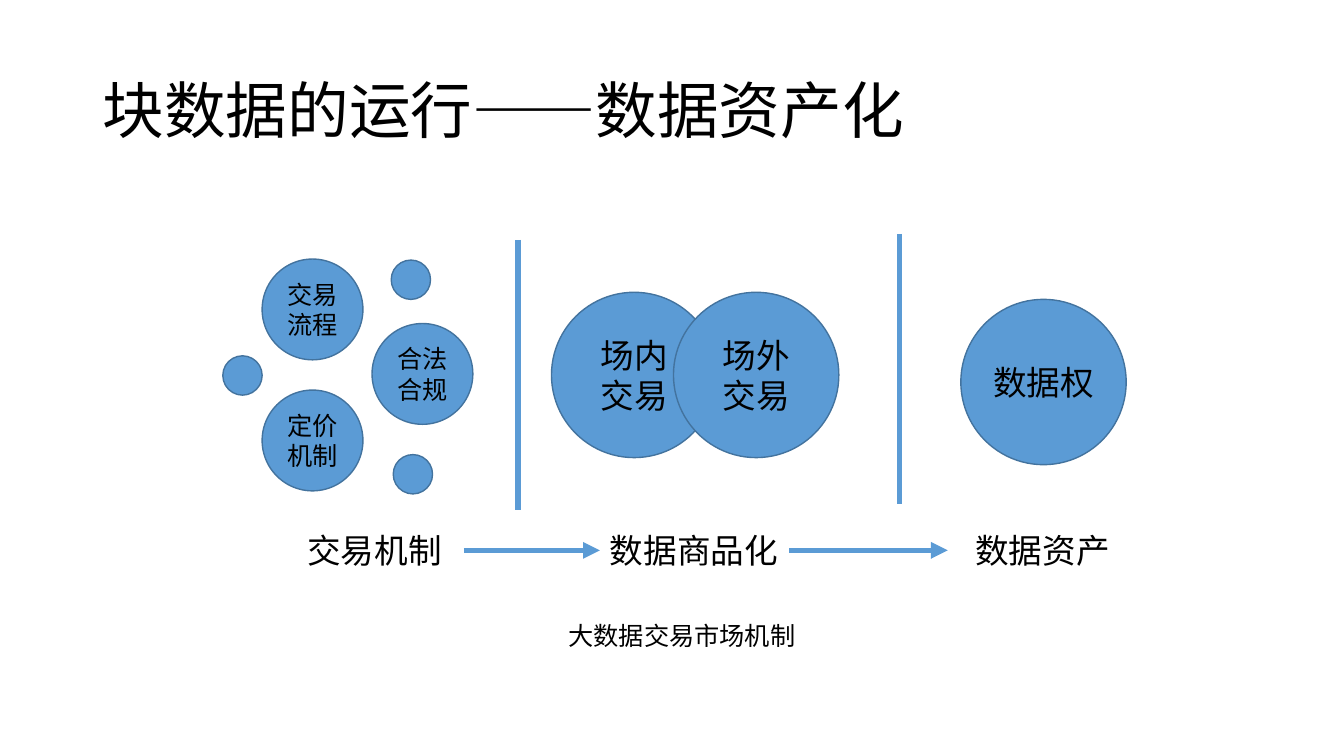
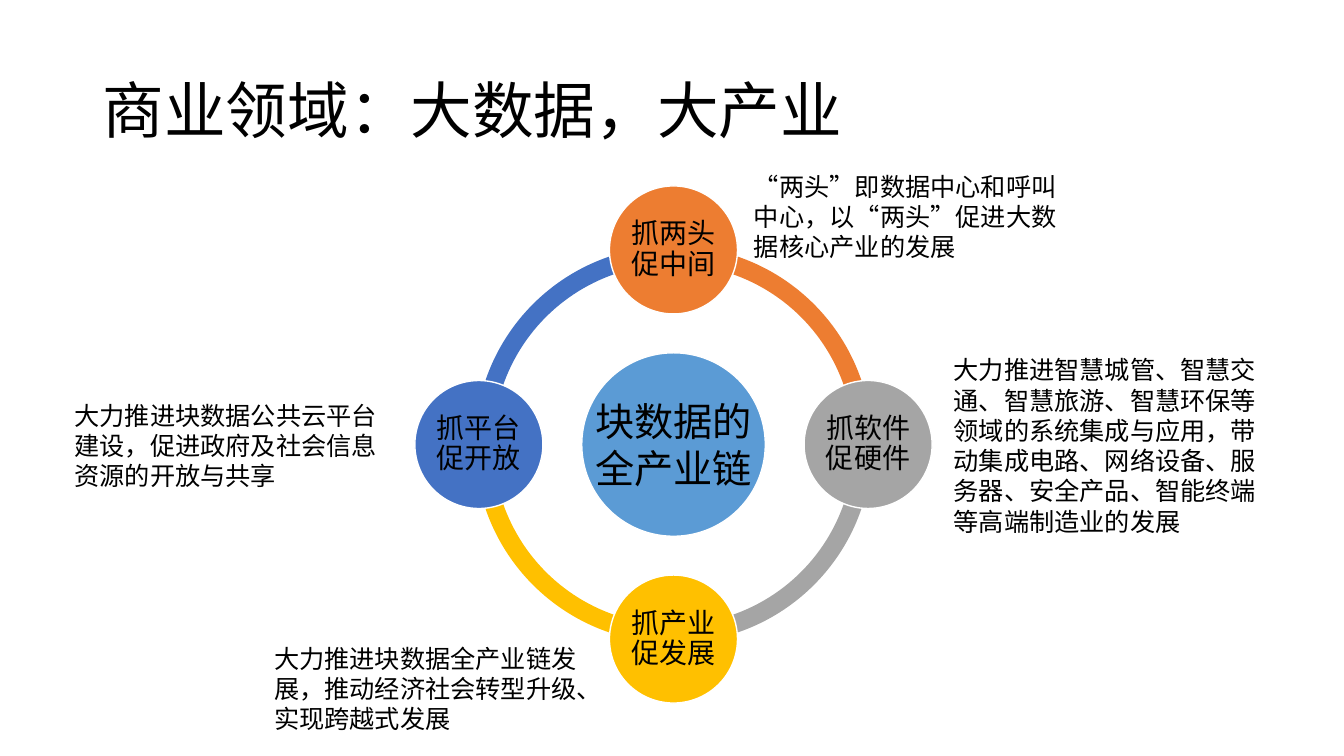
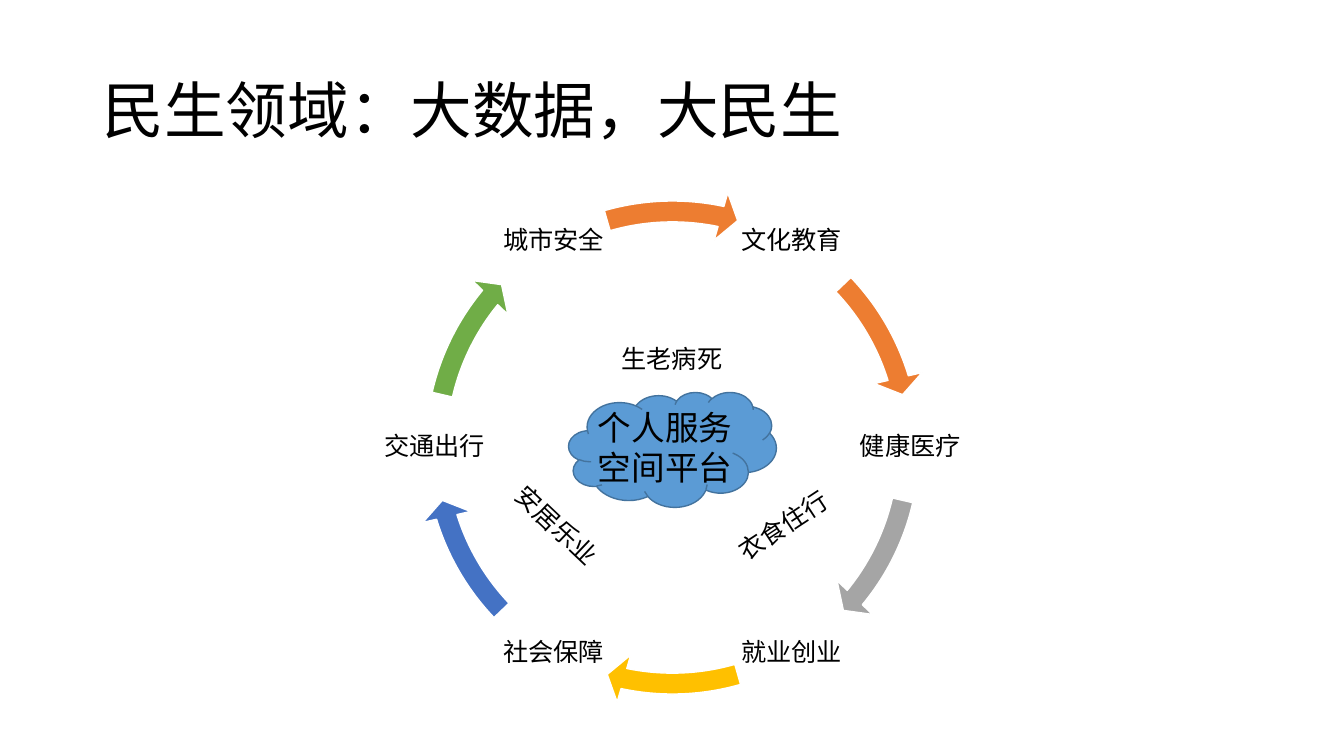
from dataclasses import dataclass
from math import cos, radians, sin
from typing import NamedTuple

from lxml.etree import SubElement
from pptx import Presentation
from pptx.dml.color import RGBColor
from pptx.enum.lang import MSO_LANGUAGE_ID as Language
from pptx.enum.shapes import MSO_CONNECTOR as Connector, MSO_SHAPE as Preset
from pptx.enum.text import MSO_ANCHOR as Anchor, PP_ALIGN as Align
from pptx.oxml.ns import qn
from pptx.util import Inches, Pt


@dataclass(frozen=True)
class Theme:
    font: str = "Calibri"
    text: str = "000000"
    white: str = "FFFFFF"
    accent: str = "5B9BD5"
    outline: str = "43739E"
    orange: str = "ED7D31"
    gray: str = "A5A5A5"
    yellow: str = "FFC000"
    blue: str = "4472C4"
    green: str = "70AD47"
    title: int = 44
    hub: int = 28
    large: int = 24
    medium: int = 20
    body: int = 18
    rule: int = 4


THEME = Theme()


class Frame(NamedTuple):
    left: float
    top: float
    width: float
    height: float


class Words(NamedTuple):
    text: str
    size: int = THEME.body
    align: Align = Align.LEFT
    anchor: Anchor = Anchor.TOP
    inset: tuple[float, float] = (0.1, 0.05)
    spacing: float = 1.0


class Bubble(NamedTuple):
    left: float
    top: float
    diameter: float
    text: str = ""
    size: int = THEME.body
    side_inset: float = 0.1


class Note(NamedTuple):
    left: float
    top: float
    text: str
    height: float = 1.01


class InnerLabel(NamedTuple):
    left: float
    top: float
    text: str
    rotation: float = 0


def centred(x: float, y: float, width: float, height: float) -> Frame:
    return Frame(x - width / 2, y - height / 2, width, height)


def on_circle(centre: tuple[float, float], radius: float, degrees: float) -> tuple[float, float]:
    """Point at an angle counted clockwise from the right."""
    angle = radians(degrees)
    return centre[0] + radius * cos(angle), centre[1] + radius * sin(angle)


def angle_adjustment(degrees: float) -> float:
    """Angle as python-pptx scales it: 60000ths of a degree over 100000."""
    return degrees % 360 * 0.6


def write(box, words: Words) -> None:
    text_frame = box.text_frame
    side, end = (Inches(inset) for inset in words.inset)
    frame_format = {
        "word_wrap": True, "vertical_anchor": words.anchor,
        "margin_left": side, "margin_right": side,
        "margin_top": end, "margin_bottom": end,
    }
    for name, value in frame_format.items():
        setattr(text_frame, name, value)
    para = text_frame.paragraphs[0]
    para.alignment = words.align
    para.line_spacing = words.spacing
    span = para.add_run()
    span.text = words.text
    font_format = {
        "name": THEME.font, "size": Pt(words.size),
        "language_id": Language.SIMPLIFIED_CHINESE,
    }
    for name, value in font_format.items():
        setattr(span.font, name, value)
    span.font.color.rgb = RGBColor.from_string(THEME.text)


def add_text(page, frame: Frame, words: Words, rotation: float = 0):
    box = page.shapes.add_textbox(*map(Inches, frame))
    box.rotation = rotation
    write(box, words)
    return box


def add_preset(page, preset: Preset, frame: Frame, fill: str, line: str | None = None,
               adjustments: tuple[float, ...] = (), words: Words | None = None) -> None:
    shape = page.shapes.add_shape(preset, *map(Inches, frame))
    shape.shadow.inherit = False
    shape.fill.solid()
    shape.fill.fore_color.rgb = RGBColor.from_string(fill)
    if line:
        shape.line.color.rgb = RGBColor.from_string(line)
        shape.line.width = Pt(1)
    else:
        shape.line.fill.background()
    for index, value in enumerate(adjustments):
        shape.adjustments[index] = value
    if words:
        write(shape, words)


def add_rule(page, start: tuple[float, float] = (0, 0), end: tuple[float, float] = (0, 0)):
    rule = page.shapes.add_connector(Connector.STRAIGHT, *map(Inches, (*start, *end)))
    rule.line.color.rgb = RGBColor.from_string(THEME.accent)
    rule.line.width = Pt(THEME.rule)
    SubElement(rule._element.spPr, qn("a:effectLst"))
    return rule


def add_arrow(page, source, target) -> None:
    """Arrow from the right side of one box to the left side of another."""
    arrow = add_rule(page)
    arrow.begin_connect(source, 3)
    arrow.end_connect(target, 1)
    SubElement(arrow.line._get_or_add_ln(), qn("a:tailEnd"), type="triangle")


def add_page(deck, title: str):
    page = deck.slides.add_slide(deck.slide_layouts[6])
    add_text(page, Frame(0.92, 0.4, 11.5, 1.45),
             Words(title, THEME.title, anchor=Anchor.MIDDLE, spacing=0.9))
    return page


def build_assets(deck) -> None:
    page = add_page(deck, "块数据的运行——数据资产化")
    bubbles = (
        Bubble(2.6, 2.57, 1, "交易流程"),
        Bubble(2.6, 3.87, 1, "定价机制"),
        Bubble(3.69, 3.21, 1, "合法合规"),
        Bubble(2.21, 3.53, 0.39),
        Bubble(3.88, 2.58, 0.39),
        Bubble(3.9, 4.51, 0.39),
        Bubble(5.47, 2.9, 1.64, "场内交易", THEME.large),
        Bubble(6.68, 2.9, 1.64, "场外交易", THEME.large),
        Bubble(9.53, 2.97, 1.64, "数据权", THEME.large, 0),
    )
    for bubble in bubbles:
        words = Words(bubble.text, bubble.size, Align.CENTER, Anchor.MIDDLE,
                      (bubble.side_inset, 0.05)) if bubble.text else None
        add_preset(page, Preset.FLOWCHART_CONNECTOR,
                   Frame(bubble.left, bubble.top, bubble.diameter, bubble.diameter),
                   THEME.accent, THEME.outline, words=words)

    stages = [
        add_text(page, Frame(left, 5.21, width, 0.5), Words(text, THEME.large, align))
        for left, width, text, align in (
            (2.95, 1.65, "交易机制", Align.LEFT),
            (5.95, 1.88, "数据商品化", Align.LEFT),
            (9.4, 1.88, "数据资产", Align.CENTER),
        )
    ]
    for source, target in zip(stages, stages[1:]):
        add_arrow(page, source, target)
    for x, top in ((5.14, 2.38), (8.92, 2.32)):
        add_rule(page, (x, top), (x, top + 2.68))
    add_text(page, Frame(5.54, 6.11, 2.64, 0.4), Words("大数据交易市场机制"))


def build_industry(deck) -> None:
    page = add_page(deck, "商业领域：大数据，大产业")
    centre = (6.68, 4.41)
    nodes = (
        ("抓两头促中间", THEME.orange),
        ("抓软件促硬件", THEME.gray),
        ("抓产业促发展", THEME.yellow),
        ("抓平台促开放", THEME.blue),
    )
    step = 360 / len(nodes)
    angles = [270 + step * index for index in range(len(nodes))]
    for angle, (_, color) in zip(angles, nodes):
        add_preset(page, Preset.BLOCK_ARC, centred(*centre, 3.94, 3.94), color,
                   adjustments=(angle_adjustment(angle), angle_adjustment(angle + step), 0.046))
    add_preset(page, Preset.OVAL, centred(*centre, 1.82, 1.82), THEME.accent, THEME.white)
    for angle, (text, color) in zip(angles, nodes):
        add_preset(page, Preset.OVAL, centred(*on_circle(centre, 1.93, angle), 1.27, 1.27),
                   color, THEME.white,
                   words=Words(text, THEME.medium, Align.CENTER, Anchor.MIDDLE,
                               (0.02, 0.02), 0.9))
    add_text(page, centred(*centre, 1.79, 1.04),
             Words("块数据的全产业链", THEME.hub, Align.CENTER))

    notes = (
        Note(7.38, 1.65, "“两头”即数据中心和呼叫中心，以“两头”促进大数据核心产业的发展"),
        Note(0.64, 3.92, "大力推进块数据公共云平台建设，促进政府及社会信息资源的开放与共享"),
        Note(2.62, 6.33, "大力推进块数据全产业链发展，推动经济社会转型升级、实现跨越式发展"),
        Note(9.36, 3.47, "大力推进智慧城管、智慧交通、智慧旅游、智慧环保等领域的系统集成与应用，"
             "带动集成电路、网络设备、服务器、安全产品、智能终端等高端制造业的发展", 1.92),
    )
    for note in notes:
        add_text(page, Frame(note.left, note.top, 3.33, note.height), Words(note.text))


def build_livelihood(deck) -> None:
    page = add_page(deck, "民生领域：大数据，大民生")
    centre = (6.67, 4.44)
    topics = (
        ("文化教育", THEME.orange),
        ("健康医疗", THEME.gray),
        ("就业创业", THEME.yellow),
        ("社会保障", THEME.blue),
        ("交通出行", THEME.green),
        ("城市安全", THEME.orange),
    )
    half_turn = ((316.37, 342.9), (12.94, 39.46), (73.97, 101.86))
    arrows = [(start + turn, end + turn) for turn in (0, 180) for start, end in half_turn]
    for index, ((text, color), (start, end)) in enumerate(zip(topics, arrows)):
        add_text(page, centred(*on_circle(centre, 2.36, 300 + 60 * index), 1.1, 1.06),
                 Words(text, THEME.body, Align.CENTER, Anchor.MIDDLE, (0.03, 0.03), 0.9))
        add_preset(page, Preset.CIRCULAR_ARROW, centred(*centre, 5.17, 5.17), color, THEME.white,
                   (0.04, angle_adjustment(4.17), angle_adjustment(end),
                    angle_adjustment(start), 0.047))

    add_preset(page, Preset.CLOUD, Frame(5.64, 3.89, 2.06, 1.14), THEME.accent, THEME.outline,
               words=Words("个人服务空间平台", THEME.large, Align.CENTER, Anchor.MIDDLE, (0, 0)))
    for label in (
        InnerLabel(6.01, 3.36, "生老病死"),
        InnerLabel(4.87, 5.01, "安居乐业", 43.5),
        InnerLabel(7.11, 5.01, "衣食住行", 326.7),
    ):
        add_text(page, Frame(label.left, label.top, 1.31, 0.4),
                 Words(label.text, align=Align.CENTER), label.rotation)


def main() -> None:
    deck = Presentation()
    deck.slide_width, deck.slide_height = Inches(13.33), Inches(7.5)
    for build in (build_assets, build_industry, build_livelihood):
        build(deck)
    deck.save("out.pptx")


if __name__ == "__main__":
    main()
